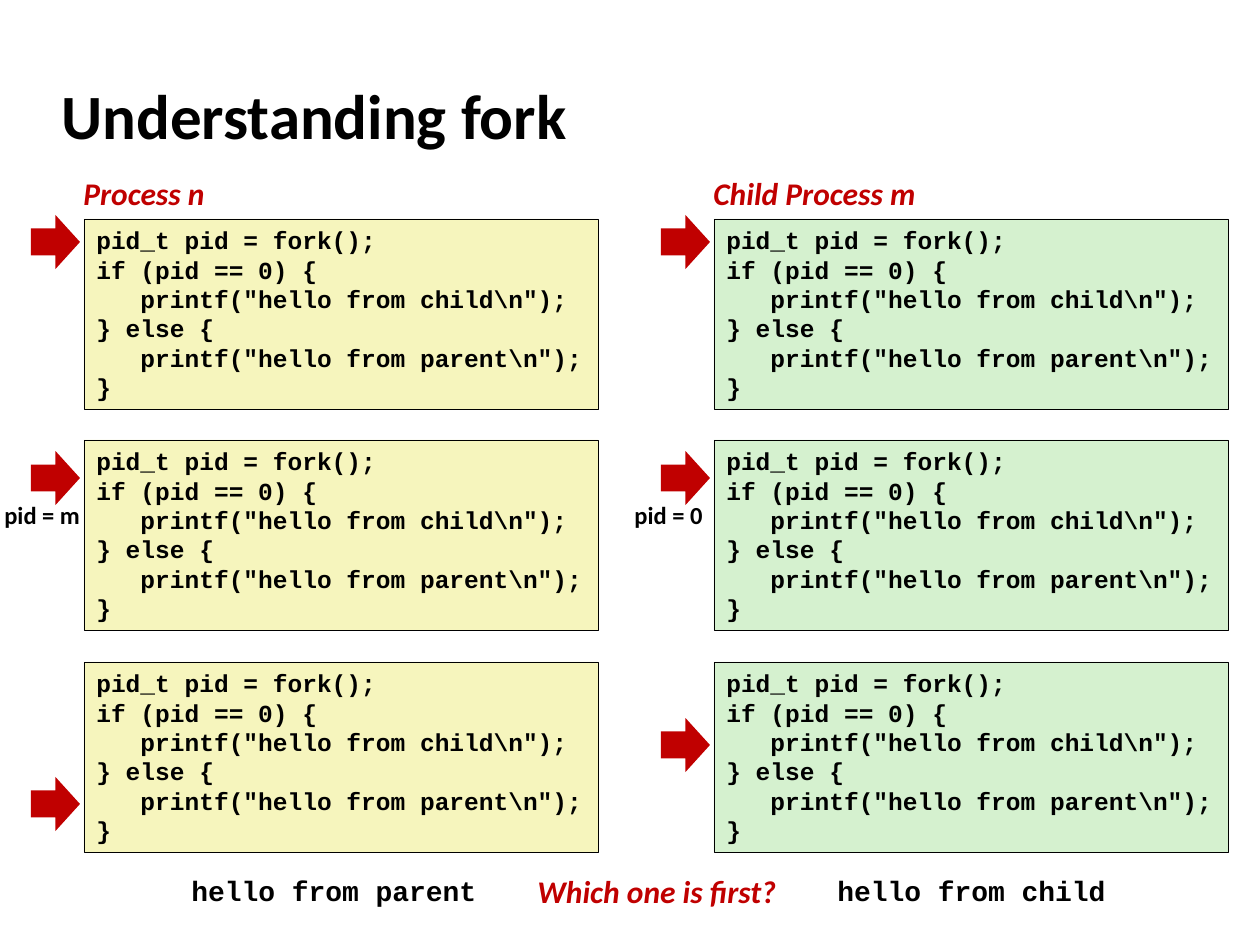
from dataclasses import dataclass

from pptx import Presentation
from pptx.dml.color import RGBColor
from pptx.enum.shapes import MSO_SHAPE
from pptx.enum.text import MSO_ANCHOR, MSO_AUTO_SIZE, PP_ALIGN
from pptx.util import Emu, Pt

PX = 914400 / 126  # EMU per px

BLACK = RGBColor(0x00, 0x00, 0x00)
RED = RGBColor(0xC0, 0x00, 0x00)
YELLOW = RGBColor(0xF6, 0xF5, 0xBD)
GREEN = RGBColor(0xD5, 0xF1, 0xCF)
SANS, MONO = "Calibri", "Courier New"

CODE = r'''pid_t pid = fork();
if (pid == 0) {
   printf("hello from child\n");
} else {
   printf("hello from parent\n");
}'''
CODE_TOPS = (219, 440, 662)
CODE_W, CODE_H = 514, 190
ARROW_W, ARROW_H = 49, 54


@dataclass(frozen=True)
class Style:
    font: str
    size: int
    color: RGBColor = BLACK
    italic: bool = False


TITLE = Style(SANS, 36)
HEADING = Style(SANS, 18, RED, True)
CODE_STYLE = Style(MONO, 14)
VALUE = Style(SANS, 14)
OUTPUT = Style(MONO, 16)


@dataclass(frozen=True)
class Label:
    text: str
    x: int
    y: int
    w: int
    h: int
    style: Style


@dataclass(frozen=True)
class Process:
    x: int
    fill: RGBColor
    arrow_tops: tuple[int, int, int]


PROCESSES = (
    Process(84, YELLOW, (215, 451, 777)),
    Process(714, GREEN, (215, 451, 718)),
)
LABELS = (
    Label("Process n", 71, 168, 149, 50, HEADING),
    Label("Child Process m", 701, 168, 231, 50, HEADING),
    Label("pid = m", -8, 494, 102, 43, VALUE),
    Label("pid = 0", 622, 494, 94, 43, VALUE),
    Label("hello from parent", 179, 867, 315, 47, OUTPUT),
    Label("hello from child", 825, 867, 297, 47, OUTPUT),
    Label("Which one is first?", 525, 866, 268, 50, HEADING),
)


def px(*lengths: int) -> list[Emu]:
    return [Emu(round(n * PX)) for n in lengths]


def write(tf, text: str, style: Style) -> None:
    for i, line in enumerate(text.split("\n")):
        p = tf.paragraphs[0] if i == 0 else tf.add_paragraph()
        p.alignment = PP_ALIGN.LEFT
        r = p.add_run()
        r.text = line
        r.font.name = style.font
        r.font.size = Pt(style.size)
        r.font.bold = True
        r.font.italic = style.italic
        r.font.color.rgb = style.color


def fit_to_text(tf) -> None:
    tf.word_wrap = False
    tf.auto_size = MSO_AUTO_SIZE.SHAPE_TO_FIT_TEXT
    tf.vertical_anchor = MSO_ANCHOR.TOP


def add_filled(slide, kind: MSO_SHAPE, box: list[Emu], fill: RGBColor):
    sp = slide.shapes.add_shape(kind, *box)
    sp.shadow.inherit = False
    sp.fill.solid()
    sp.fill.fore_color.rgb = fill
    sp.line.fill.background()
    return sp


def add_code(slide, x: int, y: int, fill: RGBColor) -> None:
    sp = add_filled(slide, MSO_SHAPE.RECTANGLE, px(x, y, CODE_W, CODE_H), fill)
    sp.line.color.rgb = BLACK
    sp.line.width = Pt(0.25)
    fit_to_text(sp.text_frame)
    write(sp.text_frame, CODE, CODE_STYLE)


def add_label(slide, label: Label) -> None:
    sp = slide.shapes.add_textbox(*px(label.x, label.y, label.w, label.h))
    fit_to_text(sp.text_frame)
    write(sp.text_frame, label.text, label.style)


def add_title(slide, text: str) -> None:
    title = slide.shapes.title
    title.left, title.top, title.width, title.height = px(49, 62, 1046, 105)
    tf = title.text_frame
    tf.vertical_anchor = MSO_ANCHOR.MIDDLE
    write(tf, text, TITLE)


def main() -> None:
    prs = Presentation()
    prs.slide_width, prs.slide_height = px(1260, 945)
    slide = prs.slides.add_slide(prs.slide_layouts[5])
    add_title(slide, "Understanding fork")

    # Code at each step, with an arrow at the current line
    for process in PROCESSES:
        for top, arrow_top in zip(CODE_TOPS, process.arrow_tops):
            add_code(slide, process.x, top, process.fill)
            arrow = px(process.x - 53, arrow_top, ARROW_W, ARROW_H)
            add_filled(slide, MSO_SHAPE.RIGHT_ARROW, arrow, RED)

    # Headings, pid values and program output
    for label in LABELS:
        add_label(slide, label)

    prs.save("out.pptx")


if __name__ == "__main__":
    main()
